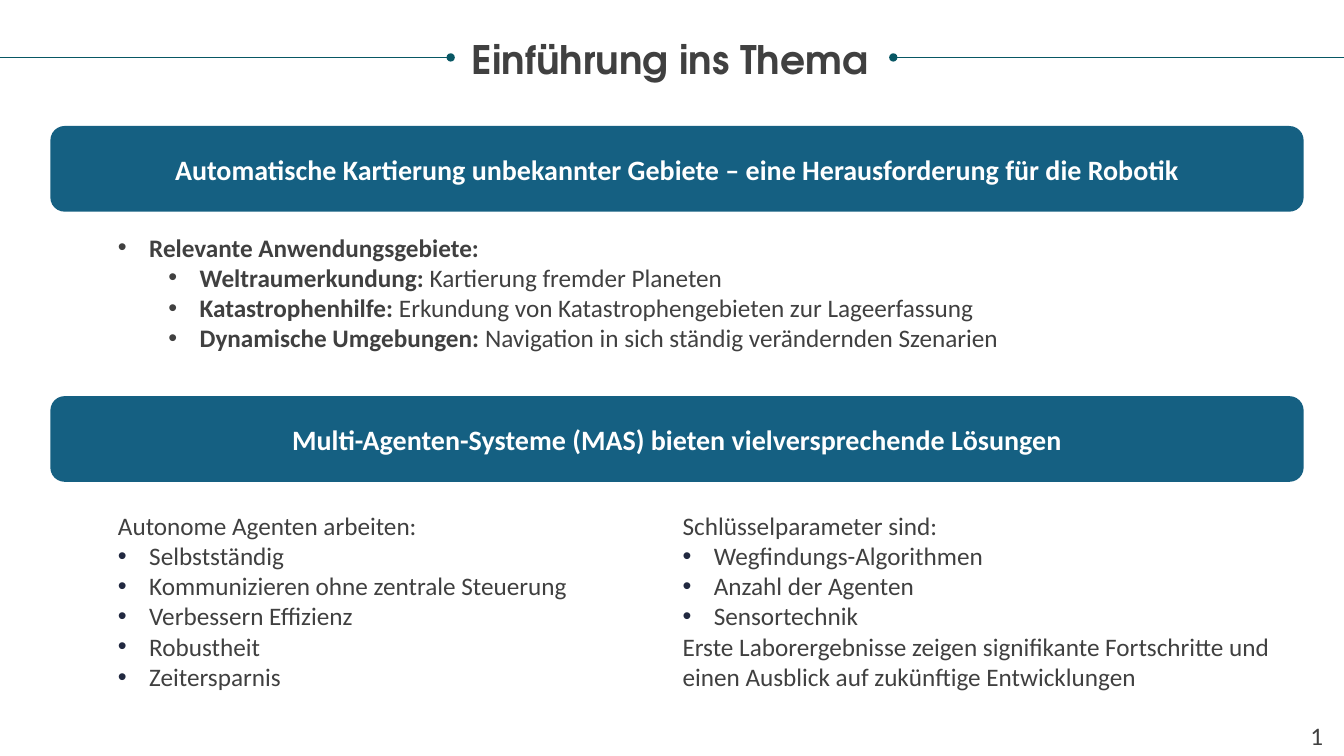
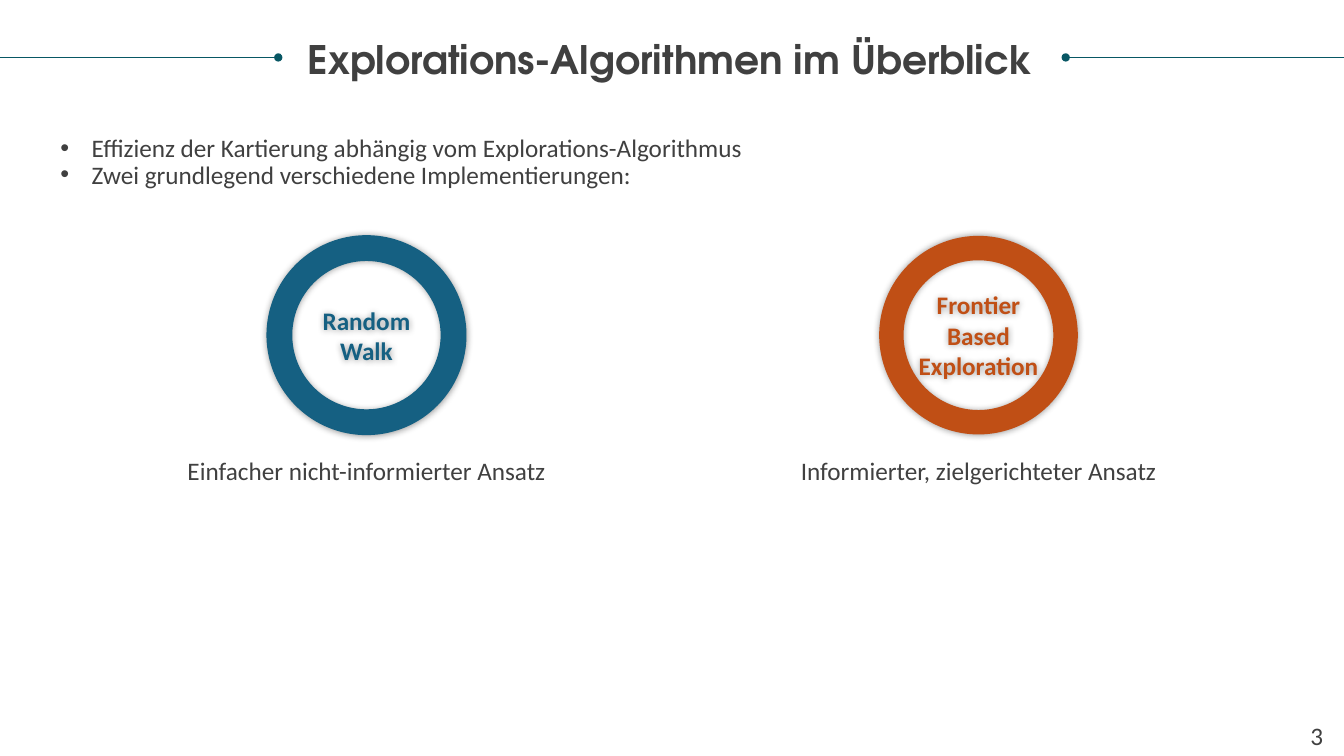
from lxml import etree
from pptx import Presentation
from pptx import util as u
from pptx.dml.color import RGBColor
from pptx.enum import shapes, text
from pptx.oxml.ns import qn

BLUE, ORANGE, TEAL = "156082", "C04F15", "085764"
GREY, NAVY, WHITE = "404040", "212940", "FFFFFF"
BODY_FONT, TITLE_FONT = "Calibri", "TeX Gyre Adventor"
SLIDE_W, SLIDE_H = 13.33, 7.5
RULE_Y = 0.57
LEFT, CENTER = text.PP_ALIGN.LEFT, text.PP_ALIGN.CENTER
TOP, MIDDLE = text.MSO_ANCHOR.TOP, text.MSO_ANCHOR.MIDDLE
NO_INSETS, INSETS = (0, 0), (0.1, 0.05)


def rgb(hex_color):
    return RGBColor.from_string(hex_color)


def inches(*lengths):
    return [u.Inches(length) for length in lengths]


def place(part, box):
    part.left, part.top, part.width, part.height = inches(*box)
    return part


def set_bullet(paragraph, level, color):
    """Bullet at the given level, or a flush paragraph if level is None."""
    props = paragraph._p.get_or_add_pPr()
    hang = u.Inches(0.31)
    if level is None:
        props.set("marL", "0")
        props.set("indent", "0")
        etree.SubElement(props, qn("a:buNone"))
        return
    paragraph.level = level
    props.set("marL", str(hang + u.Inches(0.5) * level))
    props.set("indent", str(-hang))
    if color:
        bullet_color = etree.SubElement(props, qn("a:buClr"))
        etree.SubElement(bullet_color, qn("a:srgbClr"), val=color)
    etree.SubElement(props, qn("a:buFont"), typeface="Arial")
    etree.SubElement(props, qn("a:buChar"), char="•")


def write(part, paragraphs, size=18, color=GREY, bold=False, font=BODY_FONT,
          align=LEFT, anchor=TOP, insets=INSETS, spacing=1.0,
          bullet_color=None):
    """Each paragraph is (level, bold lead, remaining text) or plain text."""
    frame = part.text_frame
    frame.word_wrap = True
    frame.auto_size = text.MSO_AUTO_SIZE.NONE
    frame.vertical_anchor = anchor
    frame.margin_left = frame.margin_right = u.Inches(insets[0])
    frame.margin_top = frame.margin_bottom = u.Inches(insets[1])
    for index, entry in enumerate(paragraphs):
        level, lead, rest = (None, "", entry) if isinstance(entry, str) else entry
        paragraph = frame.add_paragraph() if index else frame.paragraphs[0]
        paragraph.alignment = align
        paragraph.line_spacing = spacing
        paragraph.space_before = paragraph.space_after = u.Pt(0)
        set_bullet(paragraph, level, bullet_color)
        for words, is_bold in ((lead, True), (rest, bold)):
            if words:
                run = paragraph.add_run()
                run.text = words
                run.font.size, run.font.bold = u.Pt(size), is_bold
                run.font.name, run.font.color.rgb = font, rgb(color)


def bullets(*items):
    return [(0, "", item) for item in items]


def label(slide, box, words, **style):
    write(slide.shapes.add_textbox(*inches(*box)), [words], **style)


def title_rule(slide, edge_x, dot_x):
    """Thin line from the slide edge to a dot beside the title."""
    rule = slide.shapes.add_connector(
        shapes.MSO_CONNECTOR.STRAIGHT, *inches(edge_x, RULE_Y, dot_x, RULE_Y))
    rule.line.color.rgb, rule.line.width = rgb(TEAL), u.Pt(0.5)
    etree.SubElement(rule.line._get_or_add_ln(), qn("a:tailEnd"), type="oval")
    etree.SubElement(rule._element.spPr, qn("a:effectLst"))


def new_slide(deck, layout, title, number, dots):
    """Slide with the shared title, its two rules and the page number."""
    slide = deck.slides.add_slide(deck.slide_layouts.get_by_name(layout))
    write(place(slide.shapes.title, (0.23, 0.4, 12.83, 0.85)), [title],
          size=28, bold=True, font=TITLE_FONT, align=CENTER,
          insets=NO_INSETS, spacing=0.9)
    for edge_x, dot_x in zip((0, SLIDE_W), dots):
        title_rule(slide, edge_x, dot_x)
    label(slide, (12.82, 7.1, 0.48, 0.4), number, align=CENTER)
    return slide


def solid_shape(slide, preset, box, fill):
    shape = slide.shapes.add_shape(preset, *inches(*box))
    shape.shadow.inherit = False
    shape.fill.solid()
    shape.fill.fore_color.rgb = rgb(fill)
    shape.line.fill.background()
    return shape


def banner(slide, top, words):
    band = solid_shape(slide, shapes.MSO_SHAPE.ROUNDED_RECTANGLE,
                       (0.5, top, 12.43, 0.85), BLUE)
    write(band, [words], size=20, color=WHITE, bold=True,
          align=CENTER, anchor=MIDDLE)


def add_glow(shape):
    """Soft grey shadow on all sides."""
    effects = shape._element.spPr.find(qn("a:effectLst"))
    shadow = etree.SubElement(effects, qn("a:outerShdw"),
                              blurRad=str(u.Pt(5)), dist="0", algn="ctr",
                              rotWithShape="0")
    black = etree.SubElement(shadow, qn("a:srgbClr"), val="000000")
    etree.SubElement(black, qn("a:alpha"), val="40000")


def algorithm(slide, box, name_lines, caption, color, outlined=False):
    """Ring with the algorithm's name, centred above its caption."""
    left, top, width, height = box
    diameter = 1.97
    ring = solid_shape(slide, shapes.MSO_SHAPE.DONUT,
                       (left + (width - diameter) / 2, top, diameter, diameter),
                       color)
    ring.adjustments[0] = 0.123
    if outlined:
        ring.line.color.rgb, ring.line.width = rgb(color), u.Pt(1)
    add_glow(ring)
    write(ring, name_lines, color=color, bold=True, align=CENTER,
          anchor=MIDDLE, insets=NO_INSETS)
    caption_h = 0.27
    label(slide, (left, top + height - caption_h, width, caption_h), caption,
          align=CENTER, insets=NO_INSETS, spacing=u.Pt(19))


def introduction(deck):
    slide = new_slide(deck, "Comparison", "Einführung ins Thema", "1",
                      (4.47, 8.86))
    applications, agents, spare, parameters = list(slide.placeholders)[1:5]
    spare._element.getparent().remove(spare._element)

    # Challenge and fields of application
    banner(slide, 1.25, "Automatische Kartierung unbekannter Gebiete – "
                        "eine Herausforderung für die Robotik")
    write(place(applications, (1.07, 2.25, 10.6, 1.31)), [
        (0, "Relevante Anwendungsgebiete:", ""),
        (1, "Weltraumerkundung:", " Kartierung fremder Planeten"),
        (1, "Katastrophenhilfe:",
         " Erkundung von Katastrophengebieten zur Lageerfassung"),
        (1, "Dynamische Umgebungen:",
         " Navigation in sich ständig verändernden Szenarien"),
    ])

    # Multi-agent systems in two columns
    banner(slide, 3.93,
           "Multi-Agenten-Systeme (MAS) bieten vielversprechende Lösungen")
    write(place(agents, (1.07, 5.01, 4.96, 1.92)), [
        "Autonome Agenten arbeiten:",
        *bullets("Selbstständig", "Kommunizieren ohne zentrale Steuerung",
                 "Verbessern Effizienz", "Robustheit", "Zeitersparnis"),
    ], bullet_color=NAVY)
    write(place(parameters, (6.67, 5.01, 6.26, 1.92)), [
        "Schlüsselparameter sind:",
        *bullets("Wegfindungs-Algorithmen", "Anzahl der Agenten",
                 "Sensortechnik"),
        "Erste Laborergebnisse zeigen signifikante Fortschritte und "
        "einen Ausblick auf zukünftige Entwicklungen",
    ], bullet_color=NAVY)


def algorithm_overview(deck):
    slide = new_slide(deck, "Title and Content",
                      "Explorations-Algorithmen im Überblick", "3",
                      (2.76, 10.57))
    write(place(slide.placeholders[1], (0.6, 1.35, 12.11, 0.53)), bullets(
        "Effizienz der Kartierung abhängig vom Explorations-Algorithmus",
        "Zwei grundlegend verschiedene Implementierungen:",
    ), insets=NO_INSETS, spacing=u.Pt(19))

    # Two approaches side by side
    column_w = 6.07
    approaches = [
        (["Random", "Walk"], "Einfacher nicht-informierter Ansatz", BLUE, True),
        (["Frontier", "Based", "Exploration"],
         "Informierter, zielgerichteter Ansatz", ORANGE, False),
    ]
    for column, approach in enumerate(approaches):
        algorithm(slide, (0.6 + column * column_w, 2.34, column_w, 2.48),
                  *approach)


def main():
    deck = Presentation()
    deck.slide_width, deck.slide_height = inches(SLIDE_W, SLIDE_H)
    introduction(deck)
    algorithm_overview(deck)
    deck.save("out.pptx")


if __name__ == "__main__":
    main()
